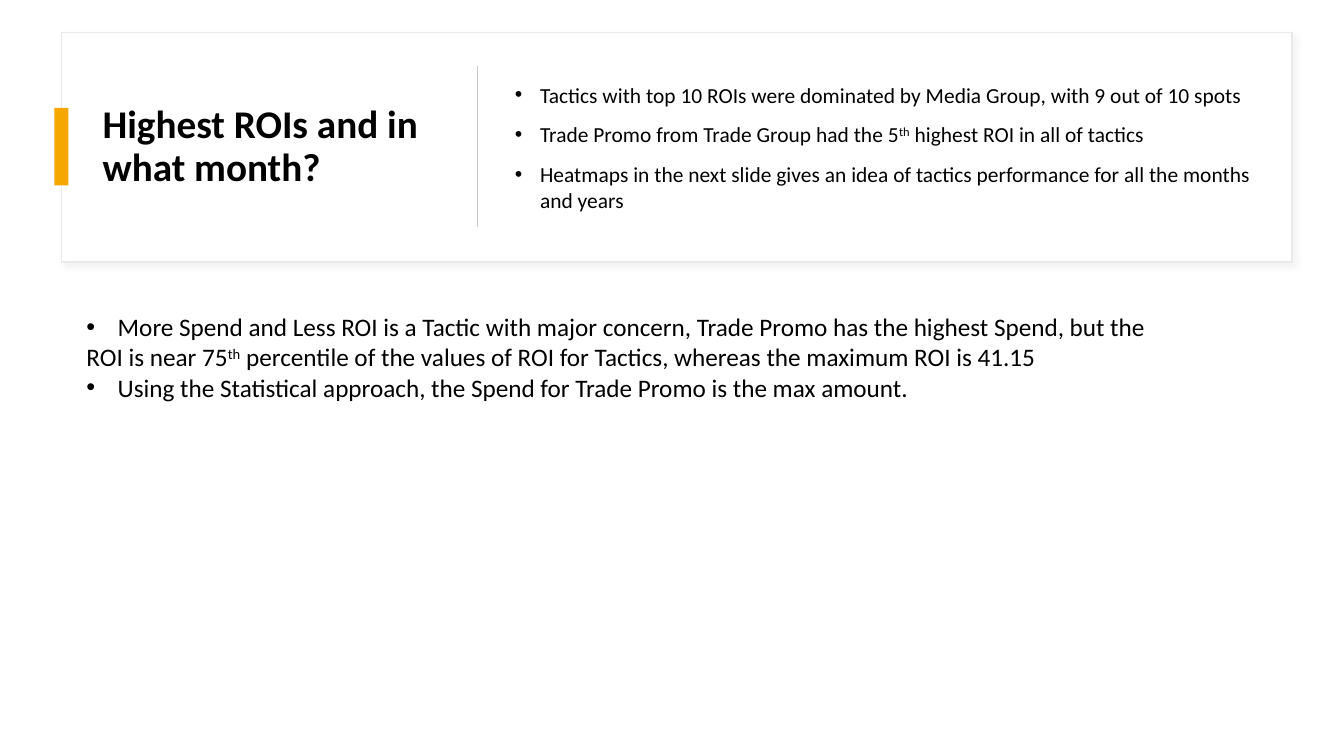
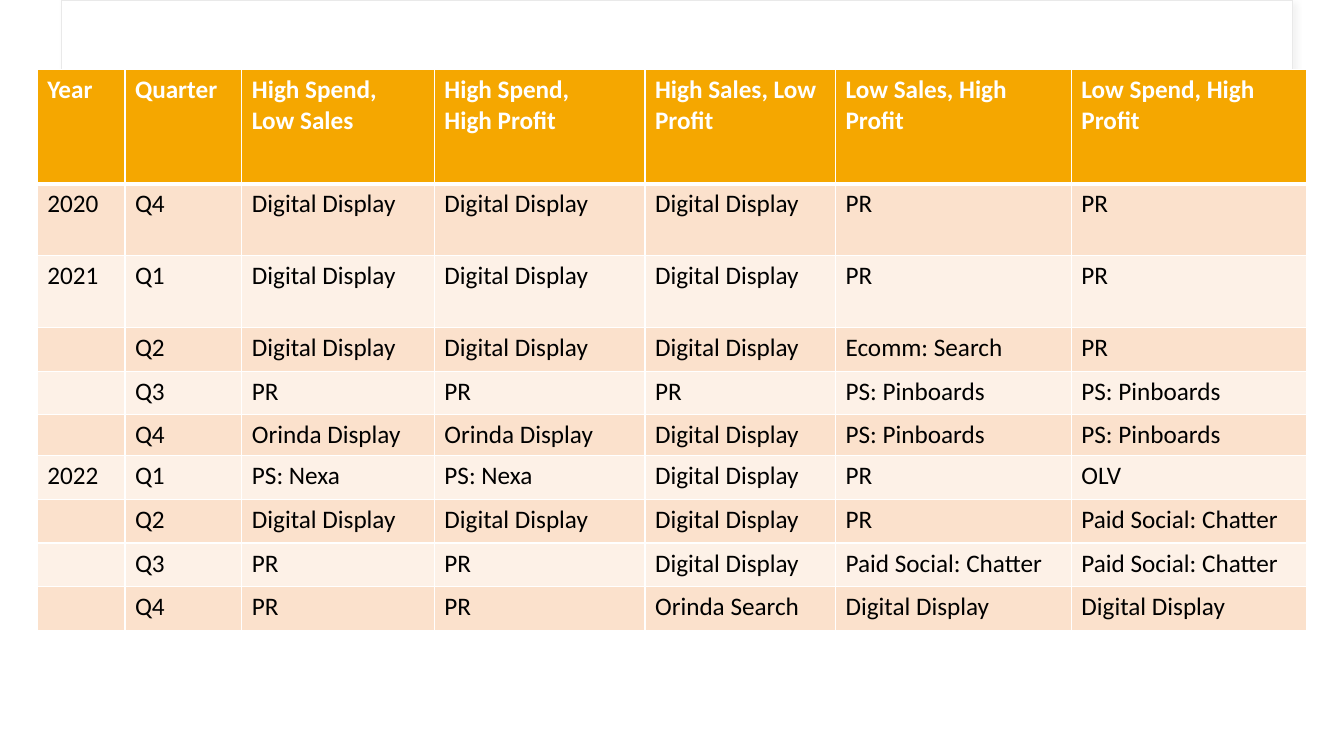
from dataclasses import dataclass
from itertools import accumulate
from typing import NamedTuple

from lxml.etree import SubElement
from pptx import Presentation
from pptx.dml.color import RGBColor
from pptx.enum.shapes import MSO_CONNECTOR, MSO_SHAPE
from pptx.enum.text import MSO_ANCHOR
from pptx.oxml.ns import qn
from pptx.util import Inches, Pt


@dataclass(frozen=True)
class Theme:
    font: str = "Calibri"
    paper: str = "FFFFFF"
    ink: str = "000000"
    accent: str = "F5A700"
    edge: str = "E9E9E9"
    rule: str = "C9C9C9"
    shade: str = "D9D9D9"
    bands: tuple[str, str] = ("FBE1CC", "FDF1E7")
    title: float = 28
    body: float = 15.3
    text: float = 18


class Box(NamedTuple):
    """A place in grid cells: the slide is 40 columns by 22.5 rows."""
    left: float
    top: float
    width: float
    height: float


class Run(NamedTuple):
    text: str
    bold: bool = False
    raised: bool = False


class Para(NamedTuple):
    runs: tuple[Run, ...]
    indent: float = 0
    before: float = 0
    lines: float = 1


THEME = Theme()
COLS, ROWS = 40, 22.5
TH = Run("th", raised=True)

PANEL = Box(1.83, 0.96, 36.63, 6.84)
BAND = Box(1.83, 0, 36.63, 6.63)
MARK = Box(1.62, 3.21, 0.42, 2.31)
TITLE = Box(2.76, 1.68, 10.83, 5.4)
POINTS = Box(15.03, 1.68, 22.5, 5.4)
NOTES = Box(2.28, 9.12, 36.39, 3.93)
RULE = Box(14.22, 1.97, 0, 4.8)

HEAD = (
    "Year", "Quarter", "High Spend, Low Sales", "High Spend,\nHigh Profit",
    "High Sales, Low Profit", "Low Sales, High Profit",
    "Low Spend, High Profit",
)
DD, PR = "Digital Display", "PR"
PIN, CHAT = "PS: Pinboards", "Paid Social: Chatter"
SHOP, NEXA = "Orinda Display", "PS: Nexa"
DATA = (
    ("2020", "Q4", DD, DD, DD, PR, PR),
    ("2021", "Q1", DD, DD, DD, PR, PR),
    ("", "Q2", DD, DD, DD, "Ecomm: Search", PR),
    ("", "Q3", PR, PR, PR, PIN, PIN),
    ("", "Q4", SHOP, SHOP, DD, PIN, PIN),
    ("2022", "Q1", NEXA, NEXA, DD, PR, "OLV"),
    ("", "Q2", DD, DD, DD, PR, CHAT),
    ("", "Q3", PR, PR, DD, CHAT, CHAT),
    ("", "Q4", PR, PR, "Orinda Search", DD, DD),
)
WIDTHS = (2.61, 3.48, 5.73, 6.27, 5.67, 7.02, 6.99)
HEIGHTS = (3.4, 2.14, 2.14, 1.3, 1.3, 1.22, 1.3, 1.3, 1.3, 1.3)
GRID = Box(1.11, 2.07, sum(WIDTHS), sum(HEIGHTS))


def cells(count: float) -> int:
    """Turn grid cells, a third of an inch each, into a length."""
    return Inches(count / 3)


def place(box: Box) -> tuple[int, ...]:
    return tuple(cells(part) for part in box)


def rgb(code: str) -> RGBColor:
    return RGBColor.from_string(code)


def block(slide, box: Box, fill: str):
    shape = slide.shapes.add_shape(MSO_SHAPE.RECTANGLE, *place(box))
    shape.shadow.inherit = False
    shape.fill.solid()
    shape.fill.fore_color.rgb = rgb(fill)
    shape.line.fill.background()
    return shape


def panel(slide, box: Box, width: float) -> None:
    """Draw a white card with a thin edge and a soft shadow."""
    shape = block(slide, box, THEME.paper)
    shape.line.color.rgb = rgb(THEME.edge)
    shape.line.width = Pt(width)
    effects = shape._element.spPr.find(qn("a:effectLst"))
    shadow = SubElement(
        effects, qn("a:outerShdw"), blurRad=str(Pt(4)), dist=str(Pt(3)),
        dir=str(45 * 60000), algn="tl", rotWithShape="0")
    color = SubElement(shadow, qn("a:srgbClr"), val=THEME.shade)
    SubElement(color, qn("a:alpha"), val="30000")


def divide(slide, box: Box) -> None:
    left, top, width, height = place(box)
    line = slide.shapes.add_connector(
        MSO_CONNECTOR.STRAIGHT, left, top, left + width, top + height)
    line.line.color.rgb = rgb(THEME.rule)
    line.line.width = Pt(0.75)
    SubElement(line._element.spPr, qn("a:effectLst"))


def bullet(para, indent: float) -> None:
    props = para._p.get_or_add_pPr()
    props.set("marL", str(Inches(indent)))
    props.set("indent", str(-Inches(indent)))
    SubElement(props, qn("a:buFont"), typeface="Arial")
    SubElement(props, qn("a:buChar"), char="•")


def write(frame, paras: list[Para], size: float, color: str) -> None:
    for index, item in enumerate(paras):
        para = frame.add_paragraph() if index else frame.paragraphs[0]
        para.line_spacing = item.lines
        para.space_before = Pt(item.before)
        if item.indent:
            bullet(para, item.indent)
        for part in item.runs:
            run = para.add_run()
            run.text = part.text
            font = run.font
            font.name, font.size, font.bold = THEME.font, Pt(size), part.bold
            font.color.rgb = rgb(color)
            if part.raised:
                font._element.set("baseline", "30000")


def label(slide, box: Box, paras: list[Para], size: float,
          anchor: MSO_ANCHOR = MSO_ANCHOR.MIDDLE) -> None:
    frame = slide.shapes.add_textbox(*place(box)).text_frame
    frame.word_wrap = True
    frame.vertical_anchor = anchor
    write(frame, paras, size, THEME.ink)


def border(cell, row: int) -> None:
    """Edge a cell in white, thicker between the head and the data."""
    thick = {("B", 0), ("T", 1)}
    props = cell._tc.get_or_add_tcPr()
    for side in "LRTB":
        width = Pt(3 if (side, row) in thick else 1)
        line = SubElement(props, qn(f"a:ln{side}"), w=str(width))
        fill = SubElement(line, qn("a:solidFill"))
        SubElement(fill, qn("a:srgbClr"), val=THEME.paper)


def table(slide, box: Box, rows: tuple[tuple[str, ...], ...]) -> None:
    grid = slide.shapes.add_table(len(rows), len(WIDTHS), *place(box)).table
    grid.horz_banding = False
    for col, width in zip(grid.columns, WIDTHS):
        col.width = cells(width)
    for line, height in zip(grid.rows, HEIGHTS):
        line.height = cells(height)
    for r, row in enumerate(rows):
        head = r == 0
        fill = THEME.accent if head else THEME.bands[(r - 1) % 2]
        color = THEME.paper if head else THEME.ink
        for c, text in enumerate(row):
            cell = grid.cell(r, c)
            border(cell, r)
            cell.fill.solid()
            cell.fill.fore_color.rgb = rgb(fill)
            paras = [Para((Run(part, head),)) for part in text.split("\n")]
            write(cell.text_frame, paras, THEME.text, color)


def findings(slide) -> None:
    panel(slide, PANEL, 1)
    block(slide, MARK, THEME.accent)
    divide(slide, RULE)
    title = Run("Highest ROIs and in what month?", bold=True)
    label(slide, TITLE, [Para((title,), lines=0.9)], THEME.title)
    points = (
        (Run("Tactics with top 10 ROIs were dominated by Media Group, "
             "with 9 out of 10 spots"),),
        (Run("Trade Promo from Trade Group had the 5"), TH,
         Run(" highest ROI in all of tactics")),
        (Run("Heatmaps in the next slide gives an idea of tactics "
             "performance for all the months and years"),),
    )
    label(slide, POINTS, [Para(runs, 0.25, 10) for runs in points],
          THEME.body)
    notes = [
        Para((Run("More Spend and Less ROI is a Tactic with major concern, "
                  "Trade Promo has the highest Spend, but the"),), 0.31),
        Para((Run("ROI is near 75"), TH,
              Run(" percentile of the values of ROI for Tactics, "
                  "whereas the maximum ROI is 41.15"))),
        Para((Run("Using the Statistical approach, the Spend for "
                  "Trade Promo is the max amount."),), 0.31),
    ]
    label(slide, NOTES, notes, THEME.text, MSO_ANCHOR.TOP)


def quarters(slide) -> None:
    panel(slide, BAND, 0.75)
    table(slide, GRID, (HEAD, *DATA))


def main() -> None:
    deck = Presentation()
    deck.slide_width, deck.slide_height = cells(COLS), cells(ROWS)
    for draw in (findings, quarters):
        draw(deck.slides.add_slide(deck.slide_layouts[6]))
    deck.save("out.pptx")


if __name__ == "__main__":
    main()
